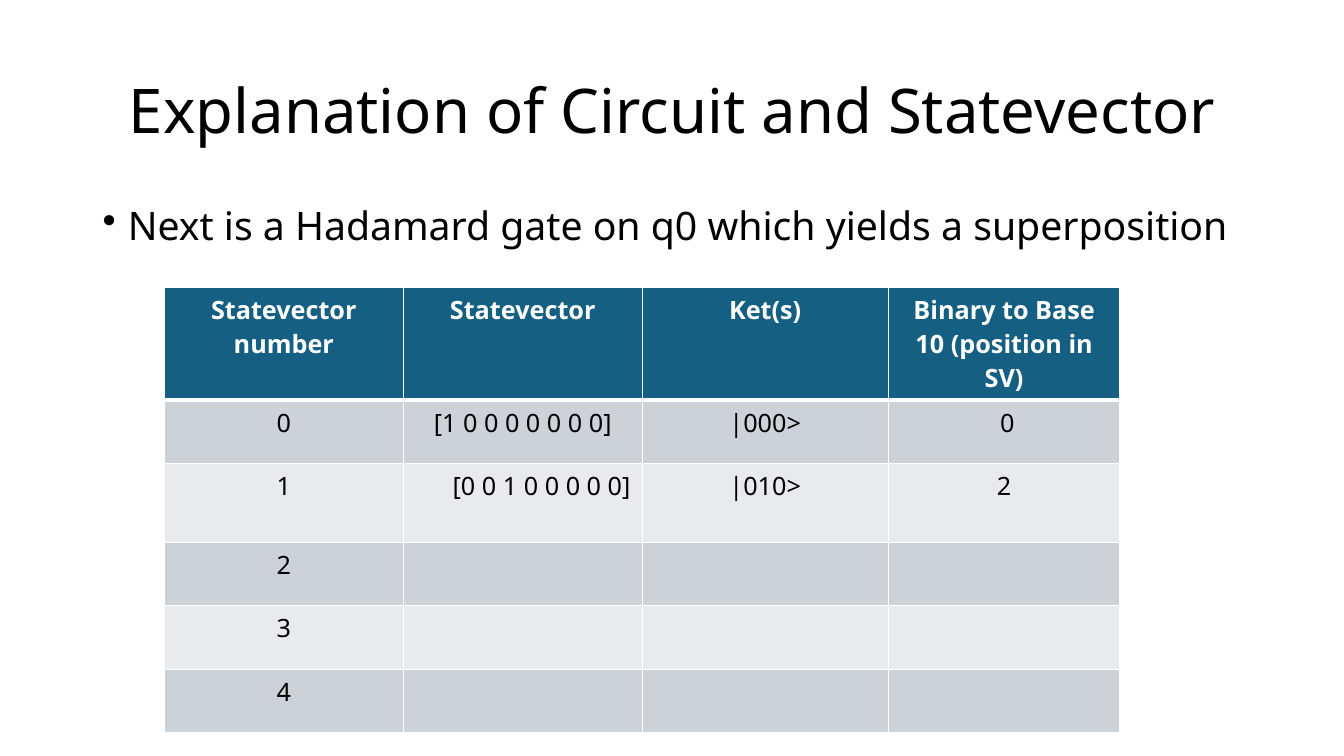
import pptx
import pptx.util
import pptx.dml.color
import pptx.enum.text
import pptx.oxml
import pptx.oxml.ns
from pptx.util import Inches

FONT = "Noto Sans"
BLACK, WHITE = "000000", "FFFFFF"
HEADER_FILL = "156082"
BAND_FILLS = ["E8EAED", "CCD2D8"]
CENTER = pptx.enum.text.PP_ALIGN.CENTER
LEFT = pptx.enum.text.PP_ALIGN.LEFT

COLUMN_WIDTHS = [2.37, 2.37, 2.44, 2.3]
ROW_HEIGHTS = [1.12, 0.63, 0.78, 0.63, 0.63, 0.63]
STATES = [
    ["Statevector number", "Statevector", "Ket(s)", "Binary to Base 10 (position in SV)"],
    ["0", "[1 0 0 0 0 0 0 0]", "|000>", " 0"],
    ["1", "[0 0 1 0 0 0 0 0]", "|010>", "2"],
    ["2", "", "", ""],
    ["3", "", "", ""],
    ["4", "", "", ""],
]


def rgb(code):
    return pptx.dml.color.RGBColor.from_string(code)


def style(para, size, color, align=LEFT, bold=False):
    para.alignment = align
    para.font.name = FONT
    para.font.size = pptx.util.Pt(size)
    para.font.color.rgb = rgb(color)
    para.font.bold = bold


def add_text(page, box, text, size, align, anchor):
    frame = page.shapes.add_textbox(*[Inches(length) for length in box]).text_frame
    frame.word_wrap = True
    frame.vertical_anchor = anchor
    para = frame.paragraphs[0]
    para.text = text
    para.line_spacing = 0.9
    style(para, size, BLACK, align)
    return para


def add_title(page, box, text):
    add_text(page, box, text, 44, CENTER, pptx.enum.text.MSO_ANCHOR.MIDDLE)


def add_bullet(page, box, text):
    para = add_text(page, box, text, 28, LEFT, pptx.enum.text.MSO_ANCHOR.TOP)
    para.space_before = pptx.util.Pt(10)
    # Hanging bullet
    properties = para._p.get_or_add_pPr()
    properties.set("marL", str(Inches(0.25)))
    properties.set("indent", str(Inches(-0.25)))
    bullet = pptx.oxml.parse_xml(
        f'<a:buChar {pptx.oxml.ns.nsdecls("a")} char="•"/>')
    properties.append(bullet)


def set_borders(cell, top, bottom):
    properties = cell._tc.get_or_add_tcPr()
    sides = {"lnL": 1, "lnR": 1, "lnT": top, "lnB": bottom}
    for position, (side, points) in enumerate(sides.items()):
        line = pptx.oxml.parse_xml(
            f'<a:{side} {pptx.oxml.ns.nsdecls("a")} w="{pptx.util.Pt(points)}">'
            f'<a:solidFill><a:srgbClr val="{WHITE}"/></a:solidFill></a:{side}>')
        properties.insert(position, line)


def add_state_table(page, left, top):
    size = [sum(COLUMN_WIDTHS), sum(ROW_HEIGHTS)]
    frame = page.shapes.add_table(
        len(STATES), len(COLUMN_WIDTHS),
        *[Inches(length) for length in [left, top] + size])
    table = frame.table
    for column, width in zip(table.columns, COLUMN_WIDTHS):
        column.width = Inches(width)
    for index, (row, height) in enumerate(zip(table.rows, ROW_HEIGHTS)):
        row.height = Inches(height)
        header = index == 0
        for cell, text in zip(row.cells, STATES[index]):
            cell.text = text
            style(cell.text_frame.paragraphs[0], 18,
                  WHITE if header else BLACK, CENTER, header)
            cell.fill.solid()
            cell.fill.fore_color.rgb = rgb(HEADER_FILL if header else BAND_FILLS[index % 2])
            set_borders(cell, 3 if index == 1 else 1, 3 if header else 1)

    # The second state is set off from the left edge
    shifted = table.cell(2, 1)
    shifted.text_frame.paragraphs[0].alignment = LEFT
    shifted.margin_left = Inches(0.49)
    shifted.margin_right = Inches(0.02)


def main():
    deck = pptx.Presentation()
    deck.slide_width, deck.slide_height = Inches(13.33), Inches(7.5)
    page = deck.slides.add_slide(deck.slide_layouts[6])
    add_title(page, [0.92, 0.4, 11.5, 1.45], "Explanation of Circuit and Statevector")
    add_bullet(page, [0.92, 2, 11.5, 4.76],
               "Next is a Hadamard gate on q0 which yields a superposition")
    add_state_table(page, 1.63, 2.85)
    deck.save("out.pptx")


if __name__ == "__main__":
    main()
